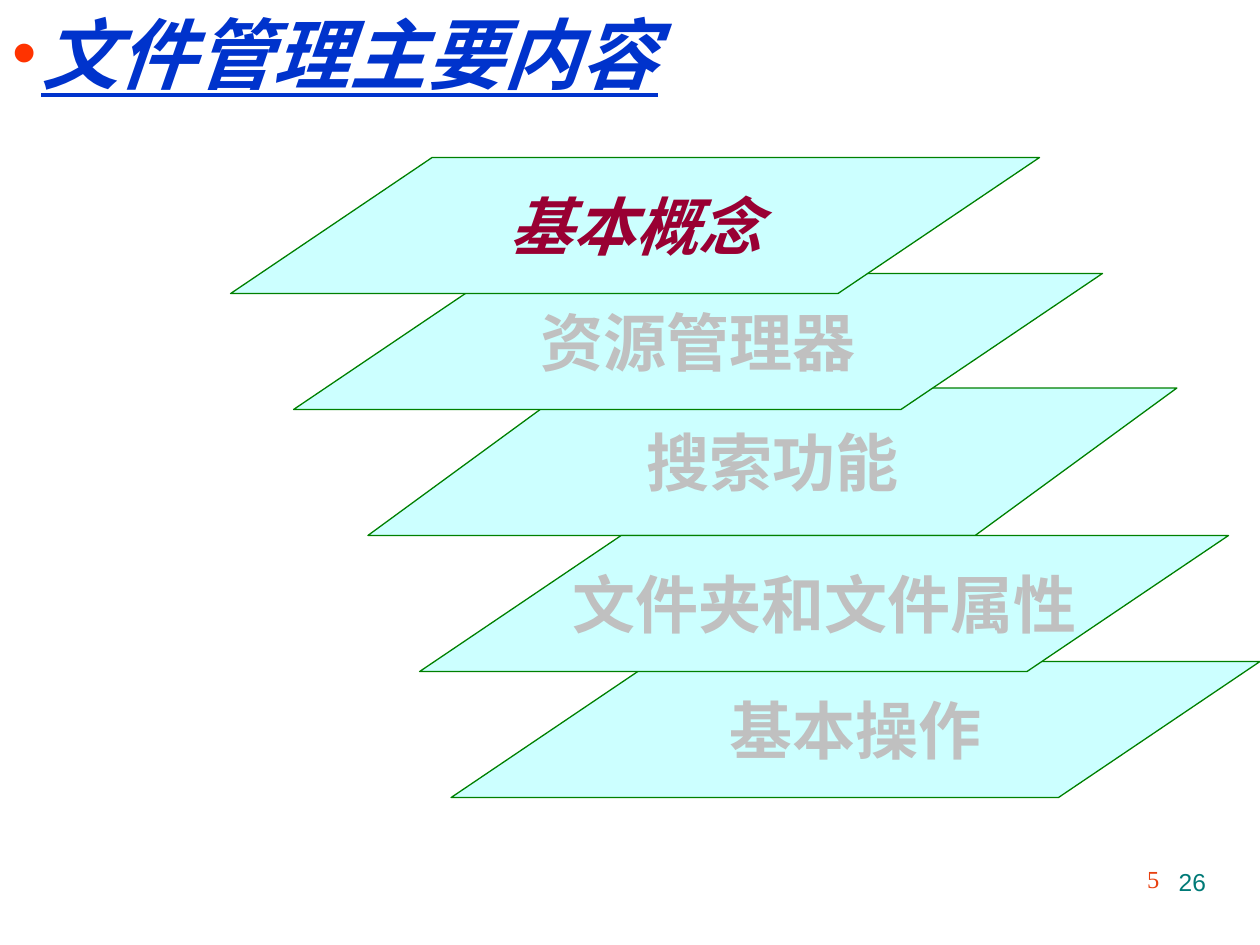
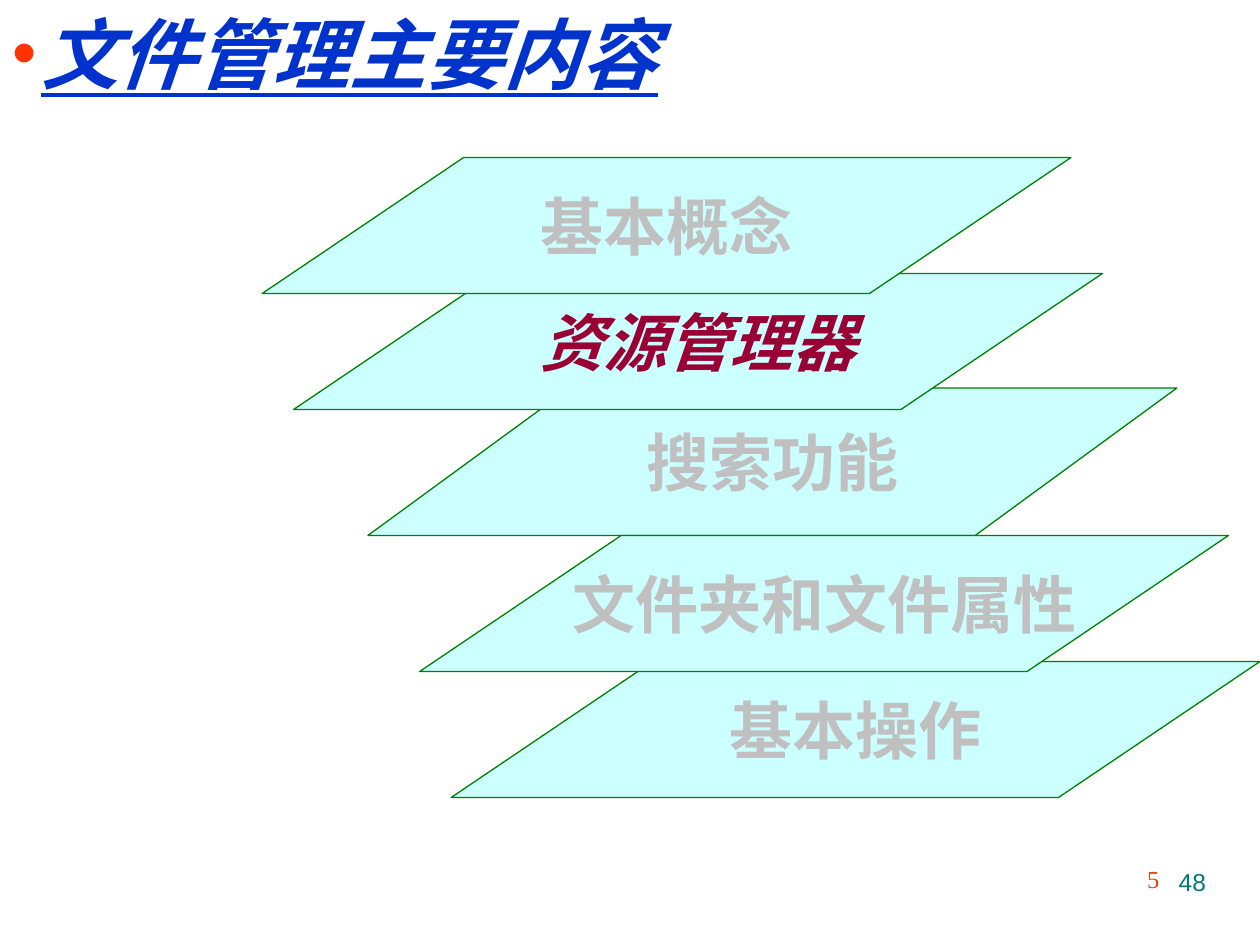
from lxml.etree import SubElement
from pptx import Presentation
from pptx.dml.color import RGBColor
from pptx.enum.shapes import MSO_SHAPE
from pptx.enum.text import MSO_ANCHOR, PP_ALIGN
from pptx.oxml.ns import qn
from pptx.util import Inches, Pt

# Shared style
TITLE_BLUE, BULLET_RED = "0033CC", "FF3300"
CARD_FILL, CARD_LINE = "CCFFFF", "008000"
ACTIVE, MUTED = "990033", "C0C0C0"
NUMBER_TEAL, CHAPTER_RED = "007A77", "E84010"
CARD_WIDTH, CARD_SLANT = 6.42, 1.6

# Topic, left, top and height of each card, from back to front
CARDS = [
    ("搜索功能", 2.92, 3.08, 1.17),
    ("资源管理器", 2.33, 2.17, 1.08),
    ("基本概念", 2.08, 1.25, 1.08),
    ("基本操作", 3.58, 5.25, 1.08),
    ("文件夹和文件属性", 3.33, 4.25, 1.08),
]

# Active topic, page number and cards moved from their usual left edge
PAGES = [
    ("基本概念", "26", {"基本概念": 1.83}),
    ("资源管理器", "48", {}),
]


def color(value):
    return RGBColor.from_string(value)


def write(paragraph, text, size, fill, font="Arial", align=PP_ALIGN.LEFT,
          bold=False, italic=False, underline=False):
    paragraph.alignment = align
    span = paragraph.add_run()
    span.text = text
    span.font.name = font
    span.font.size = Pt(size)
    span.font.color.rgb = color(fill)
    span.font.bold = bold
    span.font.italic = italic
    span.font.underline = underline


class Outline:
    def __init__(self):
        self.deck = Presentation()
        self.deck.slide_width = Inches(10)
        self.deck.slide_height = Inches(7.5)
        self.page = None

    def new_page(self):
        self.page = self.deck.slides.add_slide(self.deck.slide_layouts[6])

    def text(self, left, top, width, height, text, anchor=MSO_ANCHOR.TOP, **style):
        box = self.page.shapes.add_textbox(
            Inches(left), Inches(top), Inches(width), Inches(height))
        box.text_frame.word_wrap = True
        box.text_frame.vertical_anchor = anchor
        paragraph = box.text_frame.paragraphs[0]
        write(paragraph, text, **style)
        return paragraph

    def title(self, text):
        paragraph = self.text(0, 0, 10, 0.83, text, anchor=MSO_ANCHOR.MIDDLE, size=44,
                              fill=TITLE_BLUE, bold=True, italic=True, underline=True)
        # Red bullet with a hanging indent
        properties = paragraph._p.get_or_add_pPr()
        properties.set("marL", str(Inches(0.23)))
        properties.set("indent", str(-Inches(0.23)))
        bullet_color = SubElement(properties, qn("a:buClr"))
        SubElement(bullet_color, qn("a:srgbClr"), val=BULLET_RED)
        SubElement(properties, qn("a:buSzPct"), val="90000")
        SubElement(properties, qn("a:buFont"), typeface="Arial")
        SubElement(properties, qn("a:buChar"), char="•")

    def card(self, text, left, top, height, active):
        card = self.page.shapes.add_shape(
            MSO_SHAPE.PARALLELOGRAM,
            Inches(left), Inches(top), Inches(CARD_WIDTH), Inches(height))
        card.adjustments[0] = CARD_SLANT / height
        card.shadow.inherit = False
        card.fill.solid()
        card.fill.fore_color.rgb = color(CARD_FILL)
        card.line.color.rgb = color(CARD_LINE)
        card.line.width = Pt(0.75)
        frame = card.text_frame
        frame.word_wrap = False
        frame.vertical_anchor = MSO_ANCHOR.MIDDLE
        frame.margin_left = frame.margin_right = 0
        frame.margin_top = frame.margin_bottom = 0
        write(frame.paragraphs[0], text, size=36, fill=ACTIVE if active else MUTED,
              font="Times New Roman", align=PP_ALIGN.CENTER, bold=True, italic=active)

    def footer(self, number):
        self.text(8.8, 6.81, 0.5, 0.35, "5", size=14, fill=CHAPTER_RED,
                  font="Times New Roman", align=PP_ALIGN.RIGHT)
        self.text(7.17, 6.83, 2.5, 0.52, number, size=14, fill=NUMBER_TEAL,
                  align=PP_ALIGN.RIGHT)


def main():
    outline = Outline()
    for active_topic, number, moved in PAGES:
        outline.new_page()
        outline.title("文件管理主要内容")
        for topic, left, top, height in CARDS:
            outline.card(topic, moved.get(topic, left), top, height,
                         topic == active_topic)
        outline.footer(number)
    outline.deck.save("out.pptx")


if __name__ == "__main__":
    main()
